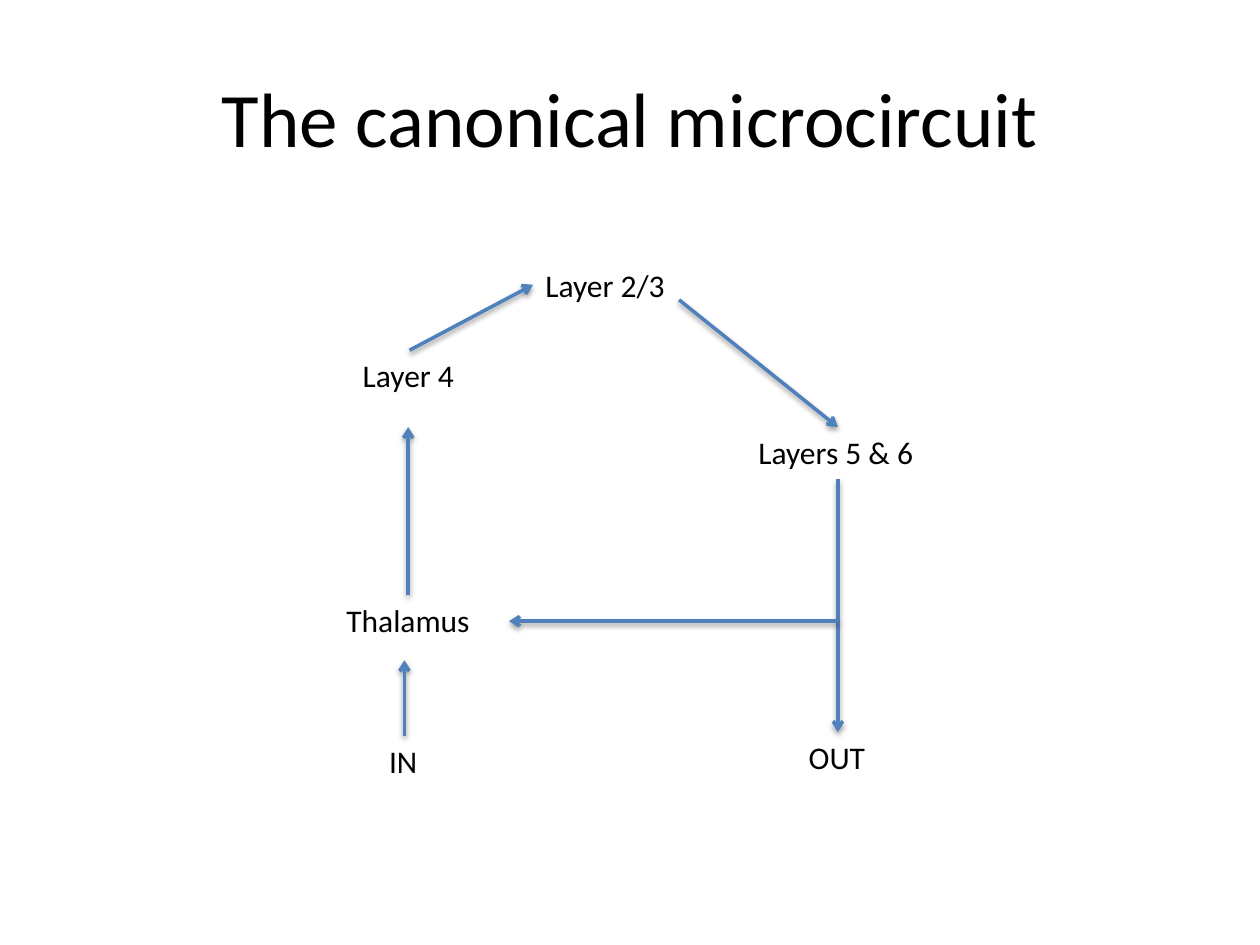
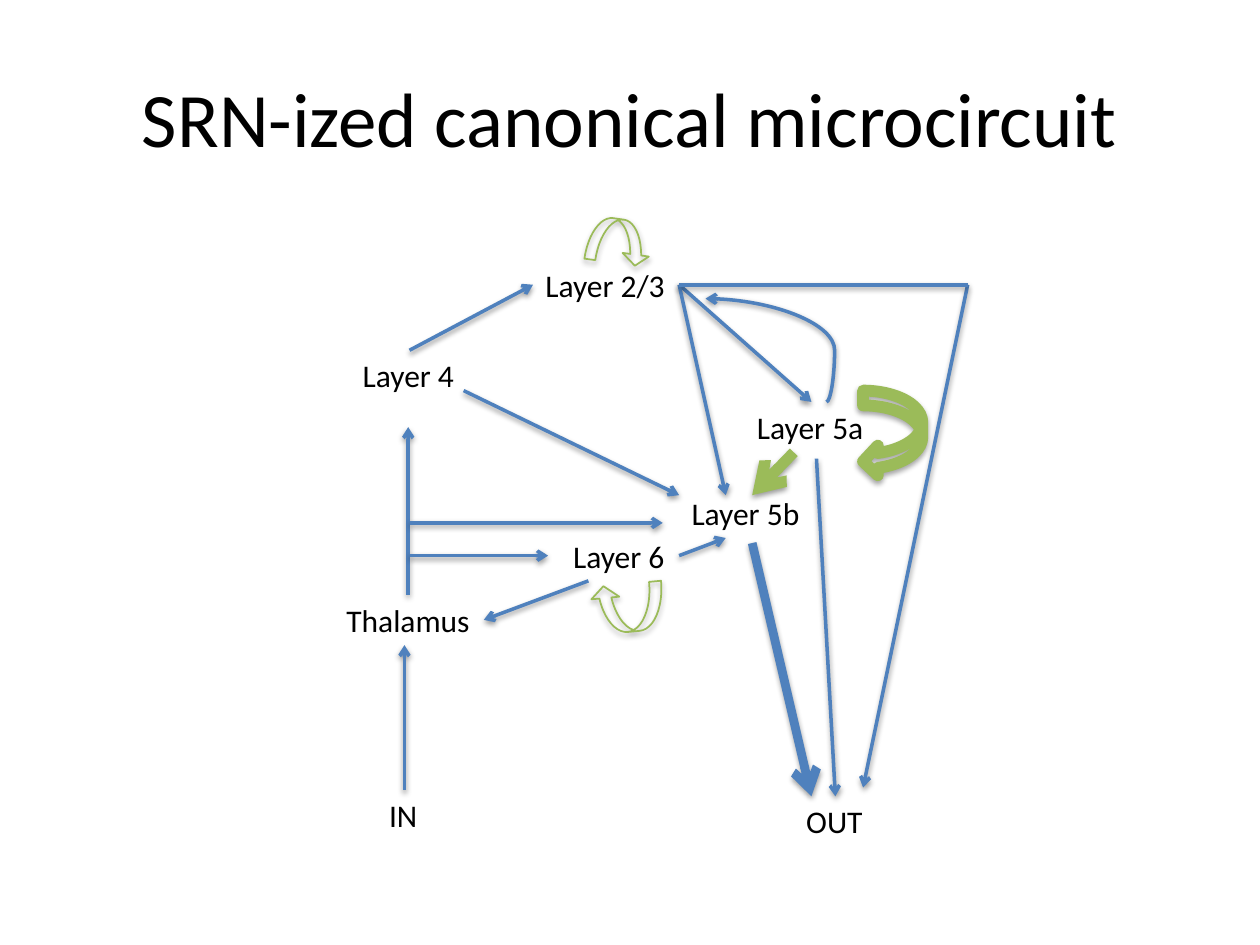
"""Two slides on the canonical cortical microcircuit, drawn with labels and arrows."""
from pptx import Presentation
from pptx.dml.color import RGBColor
from pptx.enum.shapes import MSO_CONNECTOR, MSO_SHAPE
from pptx.enum.text import MSO_ANCHOR, MSO_AUTO_SIZE, PP_ALIGN
from pptx.oxml import parse_xml
from pptx.oxml.ns import nsdecls
from pptx.util import Pt

PX = 9144
BLUE, GREEN, BLACK = "4F81BD", "9BBB59", "000000"
TITLE = {"name": "Calibri", "size": Pt(44)}
LABEL = {"name": "Calibri", "size": Pt(18)}

SHARED_LABELS = [
    ("Layer 4", 278, 278, 95),
    ("Layer 2/3", 423, 206, 117),
    ("Thalamus", 265, 472, 119),
]
SHARED_ARROWS = [
    (324, 472, 324, 339, BLUE, 2),
    (325, 278, 423, 226, BLUE, 2),
]

SLIDES = [
    {
        "title": "The canonical microcircuit",
        "labels": [
            ("Layers 5 & 6", 592, 339, 145),
            ("IN", 299, 584, 43),
            ("OUT", 632, 581, 65),
        ],
        "arrows": [
            (539, 238, 665, 339, BLUE, 2),
            (665, 380, 665, 581, BLUE, 2),
            (665, 493, 404, 493, BLUE, 2),
            (321, 584, 321, 524, BLUE, 2),
        ],
        "lines": [],
        "curves": [],
        "loops": [],
    },
    {
        "title": "SRN-ized canonical microcircuit",
        "labels": [
            ("Layer 5a", 591, 319, 106),
            ("IN", 299, 627, 43),
            ("OUT", 630, 632, 65),
            ("Layer 5b", 539, 387, 107),
            ("Layer 6", 445, 421, 94),
        ],
        "arrows": [
            (539, 226, 644, 319, BLUE, 2),
            (648, 364, 663, 632, BLUE, 2),
            (467, 461, 384, 492, BLUE, 2),
            (321, 627, 321, 512, BLUE, 2),
            (597, 431, 644, 632, BLUE, 5),
            (368, 310, 539, 393, BLUE, 2),
            (539, 226, 576, 393, BLUE, 2),
            (325, 441, 435, 441, BLUE, 2),
            (630, 359, 597, 393, GREEN, 6.25),
            (325, 415, 526, 415, BLUE, 2),
            (539, 441, 576, 427, BLUE, 2),
            (768, 226, 685, 625, BLUE, 2),
        ],
        "lines": [(539, 226, 768, 226, BLUE, 2)],
        "curves": [(656, 319, 560, 237, BLUE, 2)],
        "loops": [
            (685, 310, 47, 68, 0, 0.5, 6.75),
            (474, 166, 35, 51, 278, 0.6, 1),
            (479, 454, 38, 57, 84.6, 0.584, 1),
        ],
    },
]


def rgb(value):
    return RGBColor.from_string(value)


def outline(sp, color, width, alpha, dist, arrow=False):
    sp.line.color.rgb = rgb(color)
    sp.line.width = Pt(width)
    if arrow:
        sp.line._get_or_add_ln().append(
            parse_xml(f'<a:tailEnd {nsdecls("a")} type="arrow"/>'))
    sp._element.spPr.append(parse_xml(
        f'<a:effectLst {nsdecls("a")}><a:outerShdw blurRad="40000" dist="{dist}" '
        f'dir="5400000" rotWithShape="0"><a:srgbClr val="{BLACK}">'
        f'<a:alpha val="{alpha}000"/></a:srgbClr></a:outerShdw></a:effectLst>'))


prs = Presentation()
prs.slide_width, prs.slide_height = 1000 * PX, 750 * PX

for content in SLIDES:
    s = prs.slides.add_slide(prs.slide_layouts[5])
    title = s.shapes.title
    title.left, title.top, title.width, title.height = (v * PX for v in (50, 30, 900, 125))
    tf = title.text_frame
    tf.text = content["title"]
    tf.vertical_anchor = MSO_ANCHOR.MIDDLE
    p = tf.paragraphs[0]
    p.alignment = PP_ALIGN.CENTER
    p.font.color.rgb = rgb(BLACK)
    for key, value in TITLE.items():
        setattr(p.font, key, value)

    for text, x, y, w in SHARED_LABELS + content["labels"]:
        tf = s.shapes.add_textbox(x * PX, y * PX, w * PX, 40 * PX).text_frame
        tf.word_wrap = False
        tf.auto_size = MSO_AUTO_SIZE.SHAPE_TO_FIT_TEXT
        tf.text = text
        font = tf.paragraphs[0].font
        font.color.rgb = rgb(BLACK)
        for key, value in LABEL.items():
            setattr(font, key, value)

    for kind, arrow, paths in [
        (MSO_CONNECTOR.STRAIGHT, True, SHARED_ARROWS + content["arrows"]),
        (MSO_CONNECTOR.STRAIGHT, False, content["lines"]),
        (MSO_CONNECTOR.CURVE, True, content["curves"]),
    ]:
        for x1, y1, x2, y2, color, width in paths:
            sp = s.shapes.add_connector(kind, x1 * PX, y1 * PX, x2 * PX, y2 * PX)
            outline(sp, color, width, 38, 20000, arrow)
            if kind == MSO_CONNECTOR.CURVE:
                sp._element.xpath(".//a:avLst")[0].append(
                    parse_xml(f'<a:gd {nsdecls("a")} name="adj1" fmla="val -6800"/>'))

    for x, y, w, h, angle, bend, width in content["loops"]:
        sp = s.shapes.add_shape(MSO_SHAPE.CURVED_LEFT_ARROW, x * PX, y * PX, w * PX, h * PX)
        sp.rotation = angle
        sp.adjustments[1] = bend
        sp.fill.background()
        outline(sp, GREEN, width, 35, 23000)

prs.save("out.pptx")
